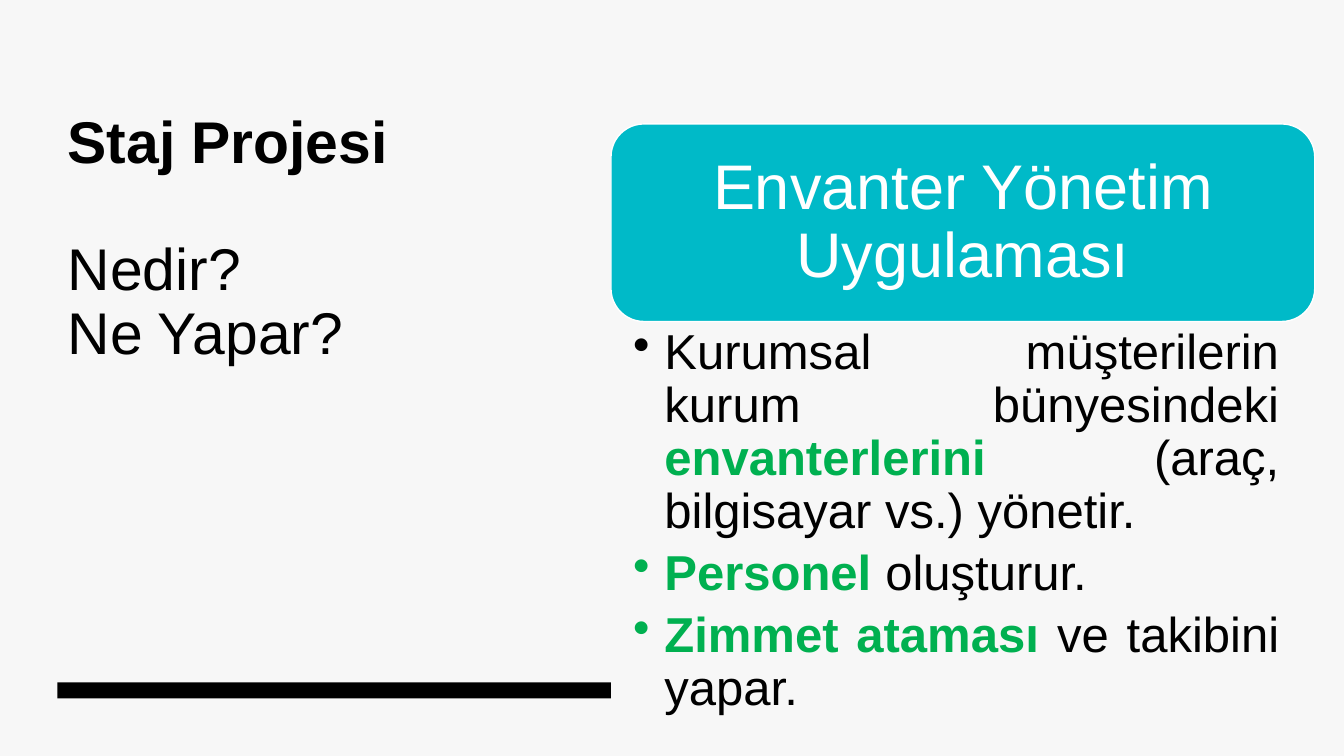
from dataclasses import dataclass

from lxml import etree
from pptx import Presentation
from pptx import util as u
from pptx.dml.color import RGBColor
from pptx.enum import shapes, text
from pptx.oxml import ns
from pptx.shapes.autoshape import Shape
from pptx.slide import Slide
from pptx.text.text import TextFrame

HUES = {"back": "F7F7F7", "ink": "000000", "card": "00BAC8", "white": "FFFFFF", "mark": "00B050"}
LEFT, MID, SIDE, WIDE = 0.57, 6.06, 5.49, 6.98
HEAD = [("Staj Projesi", True), ("", False), ("Nedir?", False), ("Ne Yapar?", False)]


@dataclass
class Block:
    kind: shapes.MSO_SHAPE
    left: float
    top: float
    width: float
    height: float
    fill: str


@dataclass
class Run:
    words: str
    strong: bool = False


BAR = Block(shapes.MSO_SHAPE.RECTANGLE, LEFT, 6.77, SIDE, 0.16, "ink")
CARD = Block(shapes.MSO_SHAPE.ROUNDED_RECTANGLE, MID, 1.23, WIDE, 1.96, "card")
POINTS = [
    [
        Run("Kurumsal müşterilerin kurum bünyesindeki "),
        Run("envanterlerini", True),
        Run(" (araç, bilgisayar vs.) yönetir."),
    ],
    [Run("Personel", True), Run(" oluşturur.")],
    [Run("Zimmet ataması ", True), Run("ve takibini yapar.")],
]


def hue(name: str) -> RGBColor:
    return RGBColor.from_string(HUES[name])


def style(para, size: float, name: str, align: text.PP_ALIGN) -> None:
    para.alignment = align
    para.line_spacing = 0.9
    para.font.name = "Arial"
    para.font.size = u.Pt(size)
    para.font.color.rgb = hue(name)


def inset(frame: TextFrame, left: float, top: float, right: float, base: float) -> None:
    frame.word_wrap = True
    frame.auto_size = text.MSO_AUTO_SIZE.NONE
    frame.margin_left, frame.margin_right = u.Inches(left), u.Inches(right)
    frame.margin_top, frame.margin_bottom = u.Inches(top), u.Inches(base)


def draw(slide: Slide, block: Block) -> Shape:
    shape = slide.shapes.add_shape(
        block.kind,
        u.Inches(block.left),
        u.Inches(block.top),
        u.Inches(block.width),
        u.Inches(block.height),
    )
    shape.shadow.inherit = False
    shape.fill.solid()
    shape.fill.fore_color.rgb = hue(block.fill)
    shape.line.fill.background()
    return shape


def title(slide: Slide) -> None:
    head = slide.shapes.title
    head.left, head.top = u.Inches(LEFT), u.Inches(1.07)
    head.width, head.height = u.Inches(SIDE), u.Inches(2.68)
    frame = head.text_frame
    inset(frame, 0.1, 0.05, 0.1, 0.05)
    frame.vertical_anchor = text.MSO_ANCHOR.TOP
    para = frame.paragraphs[0]
    style(para, 42, "ink", text.PP_ALIGN.LEFT)
    for row, (words, bold) in enumerate(HEAD):
        if row:
            para.add_line_break()
        if words:
            run = para.add_run()
            run.text = words
            run.font.bold = bold


def card(slide: Slide) -> None:
    shape = draw(slide, CARD)
    shape.line.color.rgb = hue("white")
    shape.line.width = u.Pt(1)
    frame = shape.text_frame
    inset(frame, 0.19, 0.19, 0.19, 0.19)
    frame.vertical_anchor = text.MSO_ANCHOR.MIDDLE
    para = frame.paragraphs[0]
    para.text = "Envanter Yönetim Uygulaması"
    style(para, 45, "white", text.PP_ALIGN.CENTER)


def bullet(para) -> None:
    props = para._p.get_or_add_pPr()
    props.set("marL", str(u.Inches(0.31)))
    props.set("indent", str(-u.Inches(0.31)))
    dot = etree.Element(ns.qn("a:buChar"), char="•")
    props.find(ns.qn("a:defRPr")).addprevious(dot)


def points(slide: Slide) -> None:
    box = slide.shapes.add_textbox(u.Inches(MID), u.Inches(3.19), u.Inches(WIDE), u.Inches(3.57))
    frame = box.text_frame
    inset(frame, 0.22, 0.06, 0.35, 0.06)
    for row, runs in enumerate(POINTS):
        para = frame.add_paragraph() if row else frame.paragraphs[0]
        para.level = 1
        style(para, 35, "ink", text.PP_ALIGN.JUSTIFY)
        para.space_after = u.Pt(6.5)
        bullet(para)
        for part in runs:
            run = para.add_run()
            run.text = part.words
            run.font.size = u.Pt(35)
            run.font.bold = part.strong
            run.font.color.rgb = hue("mark" if part.strong else "ink")


def main() -> None:
    deck = Presentation()
    deck.slide_width, deck.slide_height = u.Inches(13.33), u.Inches(7.5)
    slide = deck.slides.add_slide(deck.slide_layouts[5])
    slide.background.fill.solid()
    slide.background.fill.fore_color.rgb = hue("back")
    title(slide)
    draw(slide, BAR)
    card(slide)
    points(slide)
    deck.save("out.pptx")


if __name__ == "__main__":
    main()
